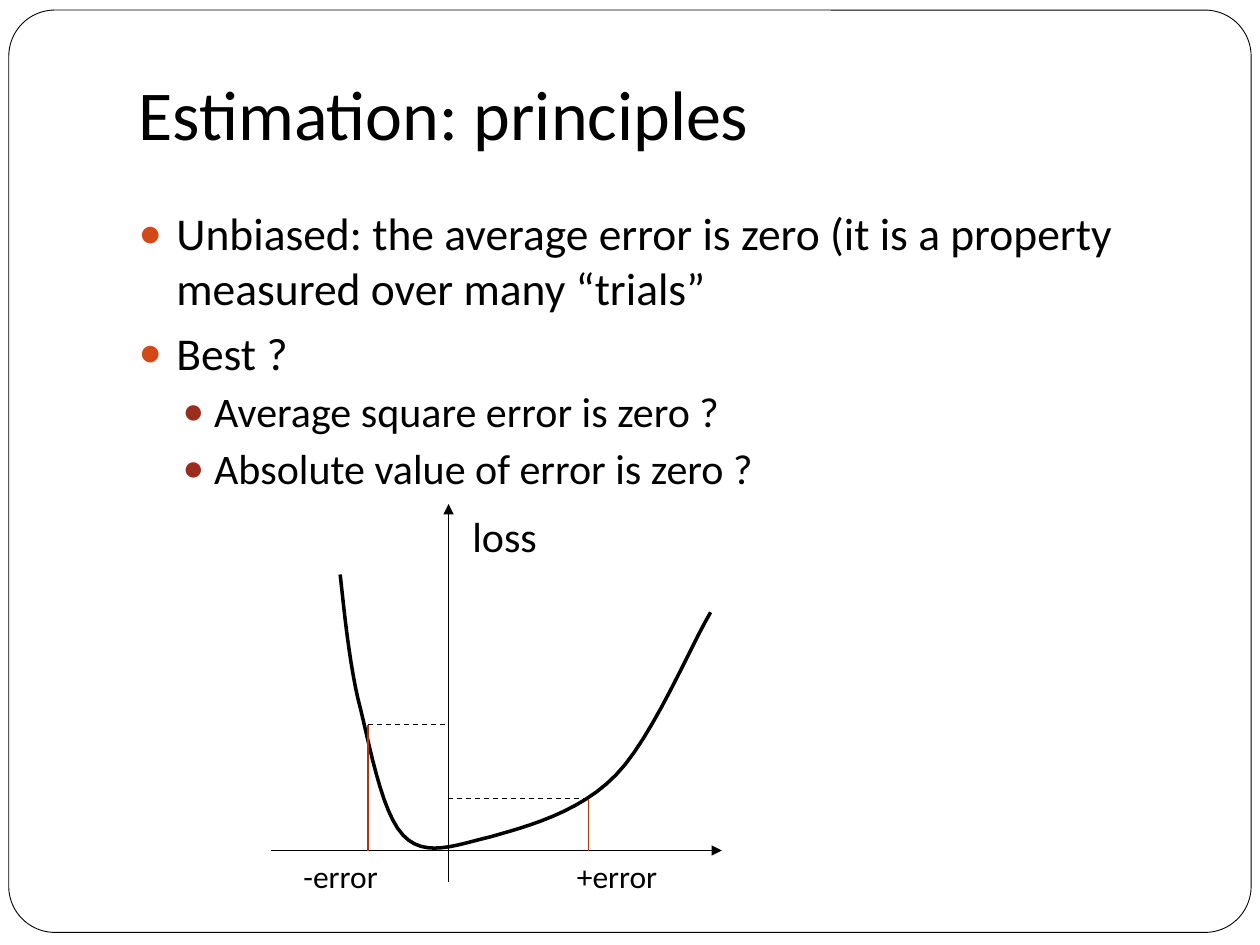
from lxml import etree
from pptx import Presentation
from pptx.dml.color import RGBColor
from pptx.enum.dml import MSO_LINE
from pptx.enum.shapes import MSO_CONNECTOR, MSO_SHAPE
from pptx.enum.text import MSO_ANCHOR, PP_ALIGN
from pptx.oxml.ns import qn
from pptx.util import Inches, Pt

STRAIGHT = MSO_CONNECTOR.STRAIGHT
ROUNDED = MSO_SHAPE.ROUNDED_RECTANGLE
DASH = MSO_LINE.DASH
TOP, BOTTOM = MSO_ANCHOR.TOP, MSO_ANCHOR.BOTTOM
LEFT = PP_ALIGN.LEFT

BLACK, WHITE, ORANGE, RED, RUST = "000000", "FFFFFF", "D34817", "9B2D1F", "B1360B"
LEVELS = [
    {"size": 26, "margin": 0.3, "indent": -0.3, "before": 5.8, "bullet": ORANGE},
    {"size": 24, "margin": 0.6, "indent": -0.25, "before": 3.7, "bullet": RED},
]
PRINCIPLES = [
    (0, "Unbiased: the average error is zero (it is a property measured over many “trials”"),
    (0, "Best ?"),
    (1, "Average square error is zero ?"),
    (1, "Absolute value of error is zero ?"),
]
LOSS_START = (2.7, 4.56)
LOSS_CURVE = [
    ((2.72, 4.72), (2.76, 5.19), (2.84, 5.54)),
    ((2.93, 5.88), (3.02, 6.44), (3.2, 6.63)),
    ((3.37, 6.81), (3.61, 6.71), (3.9, 6.64)),
    ((4.18, 6.56), (4.6, 6.45), (4.89, 6.15)),
    ((5.18, 5.85), (5.48, 5.13), (5.64, 4.86)),
]
AXIS_X, AXIS_Y = 3.56, 6.75


def rgb(value):
    return RGBColor.from_string(value)


def bezier(points, t):
    weights = ((1 - t) ** 3, 3 * t * (1 - t) ** 2, 3 * t**2 * (1 - t), t**3)
    return tuple(sum(w * p[axis] for w, p in zip(weights, points)) for axis in (0, 1))


class SlideBuilder:
    """Draws styled elements on the current slide."""

    def __init__(self, slide, font="Calibri", color=BLACK):
        self.slide, self.font, self.color = slide, font, color

    def place(self, shape, left, top, width, height):
        box = {"left": left, "top": top, "width": width, "height": height}
        for name, value in box.items():
            setattr(shape, name, Inches(value))

    def style(self, paragraph, size):
        paragraph.alignment = LEFT
        values = {"name": self.font, "size": Pt(size), "bold": False}
        for name, value in values.items():
            setattr(paragraph.font, name, value)
        paragraph.font.color.rgb = rgb(self.color)

    def outline(self, shape, width, color=None):
        shape.line.width = Pt(width)
        shape.line.color.rgb = rgb(color or self.color)

    def frame(self, left, top, width, height, corner):
        border = self.slide.shapes.add_shape(
            ROUNDED, *map(Inches, (left, top, width, height)))
        border.adjustments[0] = corner
        border.shadow.inherit = False
        border.fill.solid()
        border.fill.fore_color.rgb = rgb(WHITE)
        self.outline(border, 0.5)
        self.slide.shapes._spTree.insert(2, border._element)

    def title(self, text, *box):
        heading = self.slide.shapes.title
        self.place(heading, *box)
        heading.text = text
        heading.text_frame.vertical_anchor = BOTTOM
        heading.text_frame.margin_bottom = Inches(0.1)
        self.style(heading.text_frame.paragraphs[0], 40)

    def bullet(self, paragraph, level):
        properties = paragraph._p.get_or_add_pPr()
        properties.set("marL", str(Inches(level["margin"])))
        properties.set("indent", str(Inches(level["indent"])))
        color = etree.SubElement(properties, qn("a:buClr"))
        etree.SubElement(color, qn("a:srgbClr"), val=level["bullet"])
        etree.SubElement(properties, qn("a:buSzPct"), val="85000")
        etree.SubElement(properties, qn("a:buChar"), char="●")

    def body(self, items, *box):
        content = self.slide.placeholders[1]
        self.place(content, *box)
        frame = content.text_frame
        frame.vertical_anchor = TOP
        for number, (depth, text) in enumerate(items):
            paragraph = frame.add_paragraph() if number else frame.paragraphs[0]
            level = LEVELS[depth]
            paragraph.text = text
            paragraph.level = depth
            self.bullet(paragraph, level)
            paragraph.space_before = Pt(level["before"] if number else 0)
            self.style(paragraph, level["size"])

    def label(self, text, size, *box):
        caption = self.slide.shapes.add_textbox(*map(Inches, box))
        caption.text_frame.word_wrap = True
        caption.text_frame.text = text
        self.style(caption.text_frame.paragraphs[0], size)

    def line(self, start, end, color=None, dashed=False, arrow=False):
        segment = self.slide.shapes.add_connector(STRAIGHT, *map(Inches, start + end))
        self.outline(segment, 0.75, color)
        if dashed:
            segment.line.dash_style = DASH
        if arrow:
            etree.SubElement(segment.line._get_or_add_ln(), qn("a:tailEnd"), type="triangle")
        etree.SubElement(segment._element.spPr, qn("a:effectLst"))

    def curve(self, start, segments, width, steps=12):
        points, origin = [], start
        for segment in segments:
            controls = (origin, *segment)
            points += [bezier(controls, step / steps) for step in range(1, steps + 1)]
            origin = segment[-1]
        builder = self.slide.shapes.build_freeform(*map(Inches, start))
        builder.add_line_segments([tuple(map(Inches, point)) for point in points], close=False)
        path = builder.convert_to_shape()
        path.shadow.inherit = False
        path.fill.background()
        self.outline(path, width)


def main():
    deck = Presentation()
    deck.slide_width, deck.slide_height = Inches(10), Inches(7.5)
    page = SlideBuilder(deck.slides.add_slide(deck.slide_layouts[1]))

    page.frame(0.07, 0.08, 9.86, 7.32, 0.05)
    page.title("Estimation: principles", 1, 0.08, 8.5, 1.25)
    page.body(PRINCIPLES, 1, 1.58, 8.5, 5)

    page.line((2.15, AXIS_Y), (5.73, AXIS_Y), arrow=True)
    page.line((AXIS_X, 7), (AXIS_X, 4), arrow=True)
    page.curve(LOSS_START, LOSS_CURVE, 2)
    page.label("loss", 24, 3.65, 4, 0.72, 0.5)
    page.label("-error", 18, 2.31, AXIS_Y, 1.21, 0.4)
    page.label("+error", 18, 4.48, AXIS_Y, 1.25, 0.4)
    for error, loss in ((2.92, 5.75), (4.67, 6.34)):
        page.line((error, loss), (AXIS_X, loss), dashed=True)
        page.line((error, loss), (error, AXIS_Y), color=RUST)

    deck.save("out.pptx")


if __name__ == "__main__":
    main()
